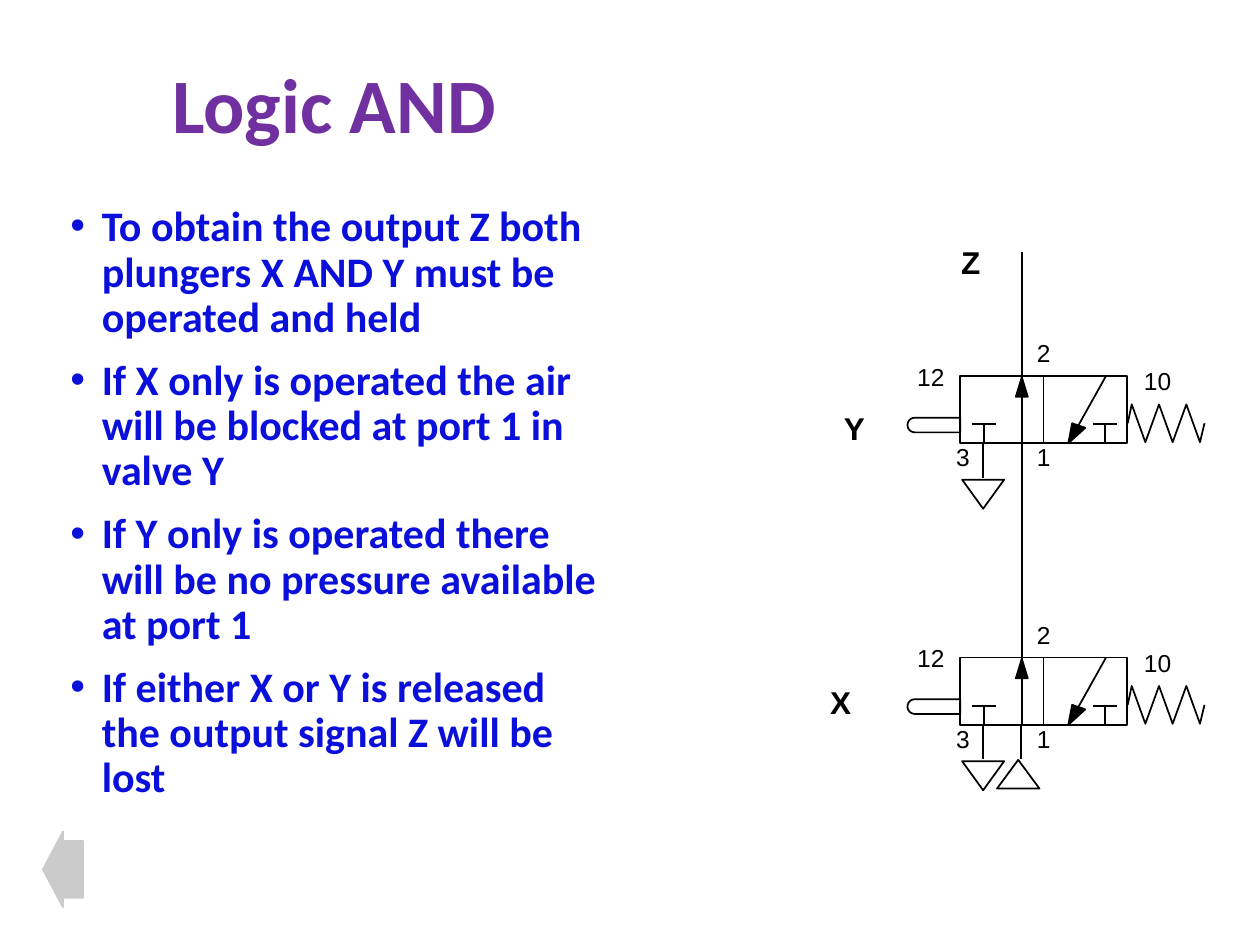
from math import cos, pi, sin

from lxml.etree import SubElement
from pptx import Presentation
from pptx.dml.color import RGBColor
from pptx.enum.shapes import MSO_CONNECTOR as Connector, MSO_SHAPE as Shape
from pptx.enum.text import MSO_ANCHOR as Anchor, MSO_AUTO_SIZE as AutoSize
from pptx.oxml.ns import qn
from pptx.util import Pt

COLOURS = {"title": "7030A0", "body": "0A0FDA", "ink": "000000", "arrow": "CBCBCB"}

POINTS = [
    "To obtain the output Z both plungers X AND Y must be operated and held",
    "If X only is operated the air will be blocked at port 1 in valve Y",
    "If Y only is operated there will be no pressure available at port 1",
    "If either X or Y is released the output signal Z will be lost",
]

# Valve geometry shared by both valves
BODY_LEFT, BODY_WIDTH, BODY_HEIGHT = 548.7, 95.2, 38.4
FLOW_X, EXHAUST_X = 583.9, 561.8
VALVE_Y_TOP, VALVE_X_TOP = 214.9, 375.8


def colour(name):
    return RGBColor.from_string(COLOURS[name])


def add_bullet(paragraph, ink):
    props = paragraph._p.get_or_add_pPr()
    props.set("marL", str(Pt(18)))
    props.set("indent", str(-Pt(18)))
    SubElement(SubElement(props, qn("a:buClr")), qn("a:srgbClr")).set("val", COLOURS[ink])
    SubElement(props, qn("a:buFont")).set("typeface", "Arial")
    SubElement(props, qn("a:buChar")).set("char", "•")


def add_text(slide, text, left, top, width, height, *, size=14, font="Arial", ink="ink",
             bold=False, wrap=False, anchor=Anchor.TOP, bullets=False,
             line_spacing=None, gap=0):
    frame = slide.shapes.add_textbox(Pt(left), Pt(top), Pt(width), Pt(height)).text_frame
    frame.word_wrap = wrap
    frame.auto_size = AutoSize.NONE if wrap else AutoSize.SHAPE_TO_FIT_TEXT
    frame.vertical_anchor = anchor
    frame.text = text
    for index, paragraph in enumerate(frame.paragraphs):
        if bullets:
            add_bullet(paragraph, ink)
        if line_spacing:
            paragraph.line_spacing = line_spacing
        if index and gap:
            paragraph.space_before = Pt(gap)
        for run in paragraph.runs:
            run.font.size = Pt(size)
            run.font.name = font
            run.font.bold = bold
            run.font.color.rgb = colour(ink)


def paint(shape, fill=None, line="ink"):
    shape.shadow.inherit = False
    if fill:
        shape.fill.solid()
        shape.fill.fore_color.rgb = colour(fill)
    else:
        shape.fill.background()
    shape.line.color.rgb = colour(line)
    shape.line.width = Pt(1)
    return shape


def add_preset(slide, kind, left, top, width, height, **look):
    return paint(slide.shapes.add_shape(kind, Pt(left), Pt(top), Pt(width), Pt(height)), **look)


def add_line(slide, x1, y1, x2, y2):
    line = slide.shapes.add_connector(Connector.STRAIGHT, Pt(x1), Pt(y1), Pt(x2), Pt(y2))
    line.line.color.rgb = colour("ink")
    line.line.width = Pt(1)
    SubElement(line._element.spPr, qn("a:effectLst"))
    return line


def add_outline(slide, points, close=True, **look):
    corners = [(Pt(x), Pt(y)) for x, y in points]
    builder = slide.shapes.build_freeform(*corners[0])
    builder.add_line_segments(corners[1:], close=close)
    return paint(builder.convert_to_shape(), **look)


def add_blocked_port(slide, x, top, bottom):
    add_line(slide, x - 7, top, x + 7, top)
    add_line(slide, x, top, x, bottom)


def add_plunger(slide, centre_y):
    radius, cap_x = 4.2, 522.8
    cap = [(cap_x - radius * sin(pi * i / 12), centre_y + radius * cos(pi * i / 12))
           for i in range(13)]
    add_outline(slide, [(BODY_LEFT, centre_y - radius), (BODY_LEFT, centre_y + radius)] + cap)


def add_spring(slide, centre_y):
    first_peak, half_turn, reach = 646.7, 7.8, 10.8
    zigzag = [(first_peak + i * half_turn, centre_y + (reach if i % 2 else -reach))
              for i in range(6)]
    add_outline(slide, [(644.4, centre_y), *zigzag, (688.3, centre_y)], close=False)


def add_valve(slide, top):
    bottom = top + BODY_HEIGHT

    # Two-position body and its divider
    body = add_preset(slide, Shape.RECTANGLE, BODY_LEFT, top, BODY_WIDTH, BODY_HEIGHT)
    middle = BODY_LEFT + BODY_WIDTH / 2
    divider = add_line(slide, middle, top, middle, bottom)
    divider.begin_connect(body, 0)
    divider.end_connect(body, 2)

    # Flow paths with their arrowheads, and blocked ports
    add_line(slide, FLOW_X, bottom, FLOW_X, top)
    add_outline(slide, [(FLOW_X, top + 0.6), (FLOW_X - 3.4, top + 11.8),
                        (FLOW_X + 3.4, top + 11.8)], fill="ink")
    add_line(slide, 632, top, 610.5, bottom)
    add_outline(slide, [(610.5, bottom), (612.7, top + 27), (620.2, top + 29.6)], fill="ink")
    for port_x in (562.3, 631.4):
        add_blocked_port(slide, port_x, top + 27.5, bottom)

    # Operators
    add_plunger(slide, top + 28)
    add_spring(slide, top + 27)

    # Exhaust
    add_line(slide, EXHAUST_X, bottom, EXHAUST_X, top + 58)
    exhaust = add_preset(slide, Shape.ISOSCELES_TRIANGLE, EXHAUST_X - 12, top + 59.2, 24, 16.6)
    exhaust.rotation = 180

    # Port numbers
    for number, left, offset, width in (
        ("1", 585.4, 34.4, 22.3), ("2", 585.4, -25, 22.3), ("3", 539.3, 34.4, 22.3),
        ("12", 517, -11.7, 30.2), ("10", 646.6, -9, 30.2),
    ):
        add_text(slide, number, left, top + offset, width, 23.8)


def main():
    deck = Presentation()
    deck.slide_width, deck.slide_height = Pt(720), Pt(540)
    slide = deck.slides.add_slide(deck.slide_layouts[6])

    # Title and explanation
    add_text(slide, "Logic AND", 91.4, 33.1, 537.8, 58.3, size=44, font="Calibri",
             ink="title", bold=True, wrap=True, anchor=Anchor.MIDDLE, line_spacing=0.9)
    add_text(slide, "\n".join(POINTS), 33.1, 113.8, 321.1, 354.2, size=24, font="Calibri",
             ink="body", bold=True, wrap=True, bullets=True, line_spacing=0.9, gap=10)

    # Valves in series: output line, link between them, air supply
    for valve_top in (VALVE_Y_TOP, VALVE_X_TOP):
        add_valve(slide, valve_top)
    add_line(slide, FLOW_X, 144, FLOW_X, VALVE_Y_TOP)
    add_line(slide, FLOW_X, VALVE_Y_TOP + BODY_HEIGHT, FLOW_X, VALVE_X_TOP)
    add_line(slide, 583.4, VALVE_X_TOP + BODY_HEIGHT, 583.4, 433.6)
    add_preset(slide, Shape.ISOSCELES_TRIANGLE, 569.7, 434.2, 24.3, 16.4)

    # Signal names
    for signal, left, top in (("X", 467.3, 386.6), ("Y", 475.2, 230.4), ("Z", 542.2, 135.4)):
        add_text(slide, signal, left, top, 26.6, 28.8, size=18, bold=True)

    # Back arrow
    back = add_preset(slide, Shape.LEFT_ARROW, 24.5, 475.2, 23, 43.2, fill="arrow", line="arrow")
    back.adjustments[0] = 0.75
    back.adjustments[1] = 0.5

    deck.save("out.pptx")


if __name__ == "__main__":
    main()
